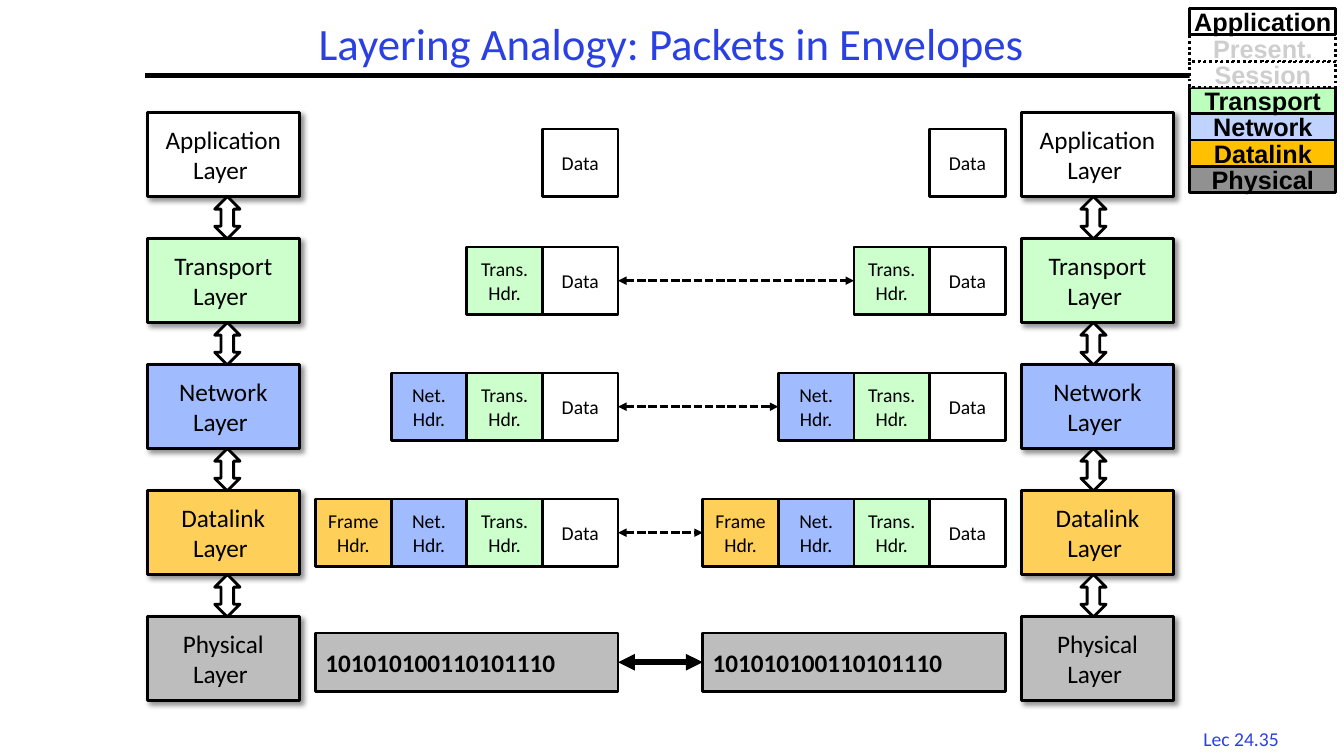
from lxml import etree
from pptx import Presentation
from pptx.dml.color import RGBColor
from pptx.enum.dml import MSO_LINE_DASH_STYLE as DASH
from pptx.enum.shapes import MSO_CONNECTOR, MSO_SHAPE
from pptx.enum.text import MSO_ANCHOR, PP_ALIGN
from pptx.oxml import parse_xml
from pptx.oxml.ns import nsdecls, qn
from pptx.util import Inches, Pt

BLACK, WHITE, BLUE = "000000", "FFFFFF", "2A40E2"
GREEN, SKY, AMBER, GRAY = "CCFFCC", "A0BCFE", "FECF59", "BDBDBD"
SHADOW = (f'<a:effectLst {nsdecls("a")}><a:outerShdw blurRad="50800" dist="38100" dir="2700000">'
          '<a:srgbClr val="000000"><a:alpha val="43000"/></a:srgbClr></a:outerShdw></a:effectLst>')

prs = Presentation()
prs.slide_width, prs.slide_height = Inches(13.33), Inches(7.5)
s = prs.slides.add_slide(prs.slide_layouts[6])


def write(sp, lines, size, color=BLACK, font="Calibri", bold=False, align=PP_ALIGN.CENTER):
    """Fill a shape with one paragraph per line and return its text frame."""
    tf = sp.text_frame
    tf.word_wrap = True
    tf.vertical_anchor = MSO_ANCHOR.MIDDLE
    for i, line in enumerate(lines):
        p = tf.add_paragraph() if i else tf.paragraphs[0]
        p.alignment = align
        r = p.add_run()
        r.text = line
        r.font.name, r.font.size, r.font.bold = font, Pt(size), bold
        r.font.color.rgb = RGBColor.from_string(color)
    return tf


def add_block(x, y, w, h, fill, kind=MSO_SHAPE.RECTANGLE):
    sp = s.shapes.add_shape(kind, Inches(x), Inches(y), Inches(w), Inches(h))
    sp.shadow.inherit = False
    sp.fill.solid()
    sp.fill.fore_color.rgb = RGBColor.from_string(fill)
    sp.line.color.rgb = RGBColor.from_string(BLACK)
    sp.line.width = Pt(2)
    return sp


# Title, rule and page number
title = s.shapes.add_textbox(Inches(1.44), Inches(0.17), Inches(10.44), Inches(0.58))
tf = write(title, ["Layering Analogy: Packets in Envelopes"], 32, BLUE)
tf.paragraphs[0].line_spacing = 0.9
page = s.shapes.add_textbox(Inches(11.77), Inches(7.16), Inches(1.08), Inches(0.33))
tf = write(page, ["Lec 24.35"], 14, BLUE)
tf.word_wrap = False
tf.vertical_anchor = MSO_ANCHOR.TOP
rule = s.shapes.add_connector(MSO_CONNECTOR.STRAIGHT, Inches(1.44), Inches(0.75),
                              Inches(11.89), Inches(0.75))
rule.line.width = Pt(3)
rule.line.color.rgb = RGBColor.from_string(BLACK)
etree.SubElement(rule._element.spPr, qn("a:effectLst"))

# Layer stacks at both hosts, with the packet each layer sends
layers = [("Application", WHITE), ("Transport", GREEN), ("Network", SKY),
          ("Datalink", AMBER), ("Physical", GRAY)]
cells = [("Data", WHITE), ("Trans.", GREEN), ("Net.", SKY), ("Frame", AMBER)]
hosts = [(1.46, 2.13, 6.13), (10.13, 10.72, 9.97)]  # layer left, arrow left, packet right
LAYER_W, LAYER_H, PITCH, CELL_W, CELL_H = 1.51, 0.83, 1.25, 0.75, 0.67

for level in reversed(range(len(layers))):
    name, fill = layers[level]
    y = 1.12 + level * PITCH
    physical = name == "Physical"
    ends = []
    for layer_x, arrow_x, packet_right in hosts:
        sp = add_block(layer_x, y, LAYER_W, LAYER_H, fill)
        sp._element.spPr.replace(sp._element.spPr.find(qn("a:effectLst")), parse_xml(SHADOW))
        write(sp, [f"{name} Layer "], 18)
        if physical:
            bits = add_block(packet_right - 3, y + 0.16, 3, 0.58, fill)
            write(bits, ["101010100110101110"], 18, bold=True, align=PP_ALIGN.LEFT)
            ends.append((bits, bits))
            continue
        add_block(arrow_x, y + LAYER_H, 0.25, PITCH - LAYER_H, WHITE, MSO_SHAPE.UP_DOWN_ARROW)
        cell_y = y + (0.08 if level else 0.16)
        packet = []
        for i, (label, color) in enumerate(cells[:level + 1]):
            cell = add_block(packet_right - (i + 1) * CELL_W, cell_y, CELL_W, CELL_H, color)
            tf = write(cell, [label, "Hdr."] if i else [label], 14)
            if label == "Frame":
                tf.margin_left = tf.margin_right = 0
            packet.append(cell)
        ends.append((packet[-1], packet[0]))
    if level == 0:
        continue
    link = s.shapes.add_connector(MSO_CONNECTOR.STRAIGHT, 0, 0, 0, 0)
    link.begin_connect(ends[0][1], 3)
    link.end_connect(ends[1][0], 1)
    link.line.color.rgb = RGBColor.from_string(BLACK)
    link.line.width = Pt(4 if physical else 2)
    if not physical:
        link.line.dash_style = DASH.SQUARE_DOT
    for tag in ("a:headEnd", "a:tailEnd"):
        etree.SubElement(link.line._get_or_add_ln(), qn(tag), type="triangle")
    etree.SubElement(link._element.spPr, qn("a:effectLst"))

# Seven-layer legend, stacked from the bottom up
legend = [("Application", WHITE), ("Present.", WHITE), ("Session", WHITE), ("Transport", "BCFFBC"),
          ("Network", "C0D2FE"), ("Datalink", "FFC000"), ("Physical", "919191")]
for i, (name, fill) in reversed(list(enumerate(legend))):
    unused = name in ("Present.", "Session")
    sp = add_block(11.8, 0.085 + i * 0.261, 1.45, 0.26, fill)
    if unused:
        sp.line.dash_style = DASH.ROUND_DOT
    tf = write(sp, [name], 18, "CECECE" if unused else BLACK, "Arial", bold=True)
    tf.word_wrap = False

prs.save("out.pptx")
